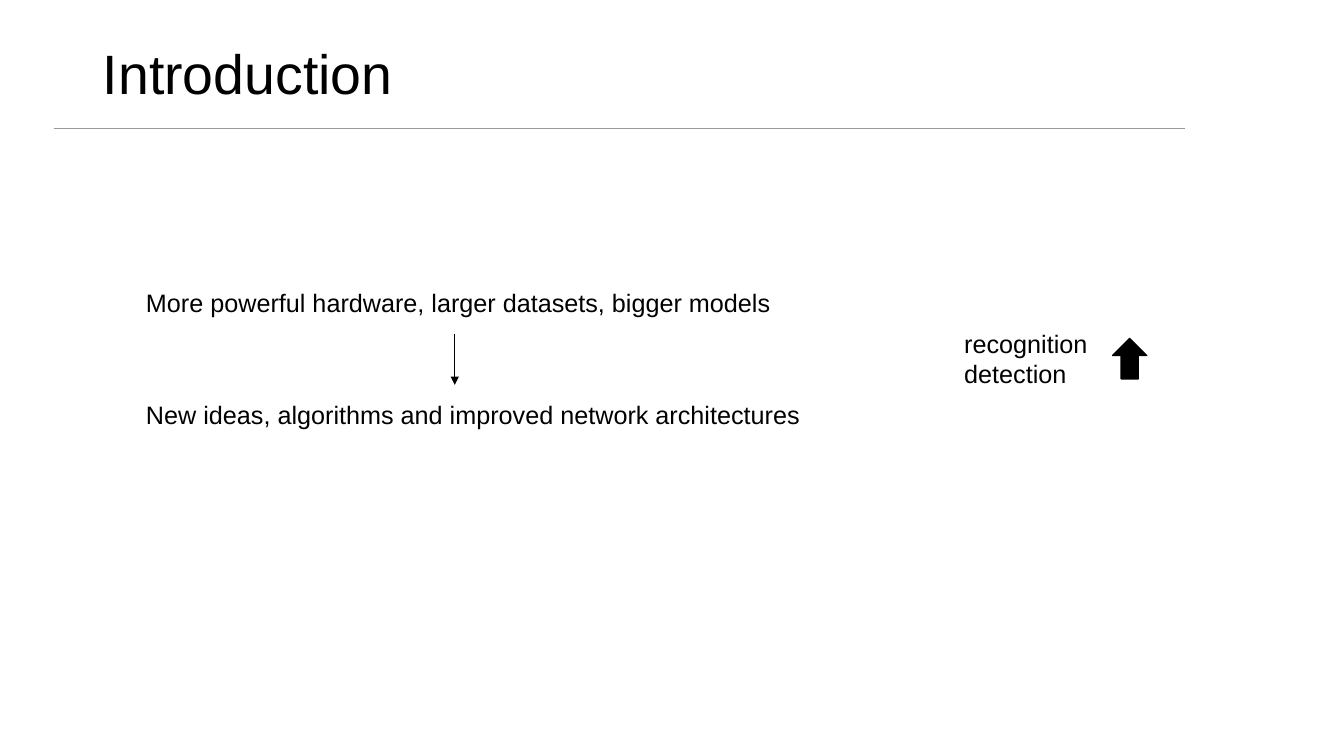
from lxml import etree
from pptx import Presentation
from pptx.dml.color import RGBColor
from pptx.enum.shapes import MSO_CONNECTOR, MSO_SHAPE
from pptx.enum.text import MSO_ANCHOR, MSO_AUTO_SIZE, PP_ALIGN
from pptx.oxml.ns import qn
from pptx.util import Cm, Pt

STRAIGHT = MSO_CONNECTOR.STRAIGHT
UP_ARROW = MSO_SHAPE.UP_ARROW
MIDDLE, TOP = MSO_ANCHOR.MIDDLE, MSO_ANCHOR.TOP
NO_FIT, GROW = MSO_AUTO_SIZE.NONE, MSO_AUTO_SIZE.SHAPE_TO_FIT_TEXT
LEFT = PP_ALIGN.LEFT


def paint(color_format, value):
    color_format.rgb = RGBColor.from_string(value)


def write(frame, text, *, size, font, color, anchor=TOP, fit=GROW, spacing=None):
    frame.word_wrap = True
    frame.auto_size = fit
    frame.vertical_anchor = anchor
    paragraph = frame.paragraphs[0]
    paragraph.text = text
    paragraph.alignment = LEFT
    if spacing:
        paragraph.line_spacing = spacing
    for run in paragraph.runs:
        run.font.name = font
        run.font.size = Pt(size)
        paint(run.font.color, color)


class SlideBuilder:
    font = "Arial"
    ink = "000000"
    rule = "999999"
    body_size = 18

    def __init__(self, deck):
        self.slide = deck.slides.add_slide(deck.slide_layouts[5])

    def title(self, text, left, top, width, height):
        heading = self.slide.shapes.title
        heading.left, heading.top = Cm(left), Cm(top)
        heading.width, heading.height = Cm(width), Cm(height)
        write(heading.text_frame, text, size=39.6, font=self.font,
              color=self.ink, anchor=MIDDLE, fit=NO_FIT, spacing=0.9)

    def text(self, text, left, top, width, height):
        box = self.slide.shapes.add_textbox(Cm(left), Cm(top), Cm(width), Cm(height))
        write(box.text_frame, text, size=self.body_size, font=self.font, color=self.ink)

    def line(self, x1, y1, x2, y2, color, arrow=False):
        connector = self.slide.shapes.add_connector(
            STRAIGHT, Cm(x1), Cm(y1), Cm(x2), Cm(y2))
        connector.line.width = Pt(0.5)
        paint(connector.line.color, color)
        if arrow:
            stroke = connector.line._get_or_add_ln()
            etree.SubElement(stroke, qn("a:tailEnd"), type="triangle")
        etree.SubElement(connector._element.spPr, qn("a:effectLst"))

    def up_arrow(self, left, top, width, height):
        arrow = self.slide.shapes.add_shape(
            UP_ARROW, Cm(left), Cm(top), Cm(width), Cm(height))
        arrow.shadow.inherit = False
        arrow.fill.solid()
        paint(arrow.fill.fore_color, self.ink)
        paint(arrow.line.color, self.ink)
        arrow.line.width = Pt(1)


def main():
    deck = Presentation()
    deck.slide_width, deck.slide_height = Cm(33.87), Cm(19.05)
    intro = SlideBuilder(deck)
    intro.title("Introduction", 2.34, 1.02, 10.24, 1.83)
    intro.text("More powerful hardware, larger datasets, bigger models",
               3.43, 7.11, 16.94, 1.02)
    intro.text("New ideas, algorithms and improved network architectures",
               3.43, 9.93, 17.93, 1.02)
    intro.line(11.46, 8.41, 11.46, 9.7, intro.ink, arrow=True)
    intro.text("recognition\ndetection", 24.05, 8.15, 5.82, 1.8)
    intro.up_arrow(28.04, 8.53, 0.86, 1.02)
    intro.line(1.37, 3.23, 29.87, 3.23, intro.rule)
    deck.save("out.pptx")


if __name__ == "__main__":
    main()
